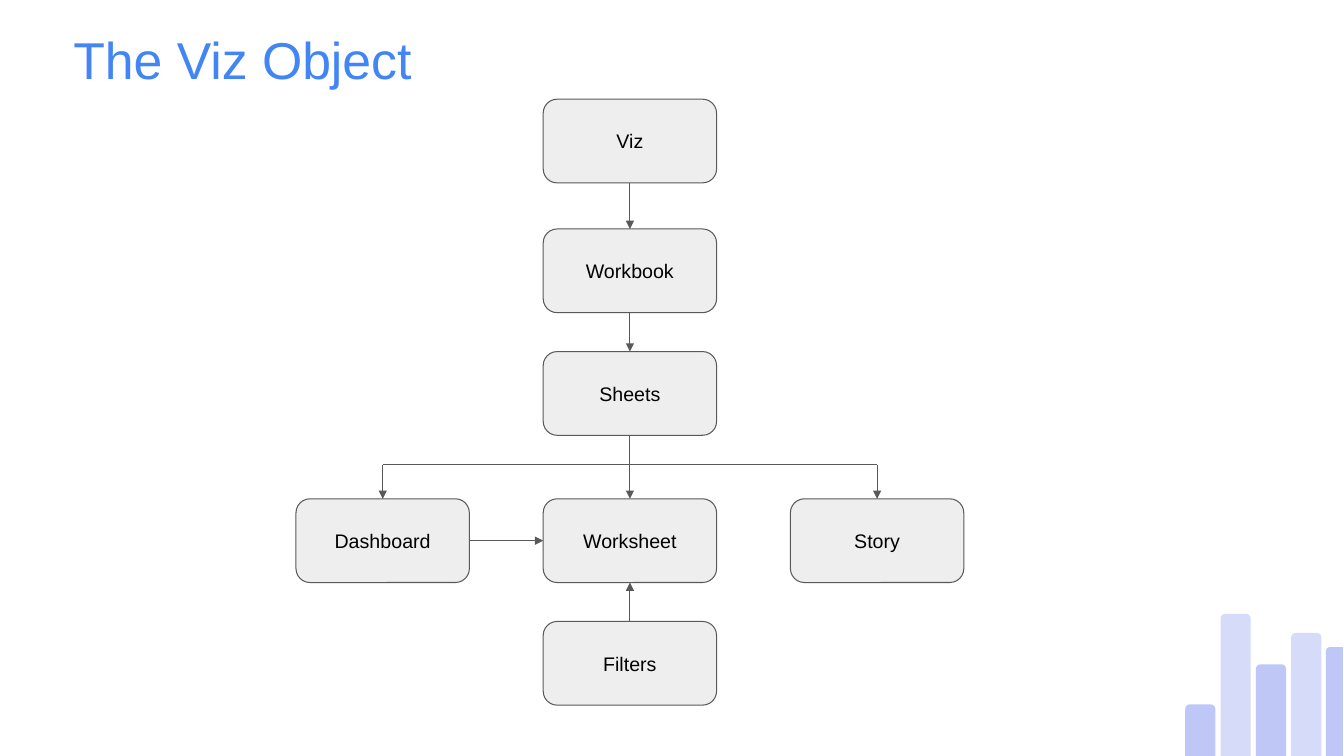
from pptx import Presentation
from pptx.dml.color import RGBColor
from pptx.enum.shapes import MSO_CONNECTOR, MSO_SHAPE
from pptx.enum.text import MSO_ANCHOR, PP_ALIGN
from pptx.oxml.ns import qn
from pptx.oxml.xmlchemy import OxmlElement
from pptx.util import Cm, Pt

BLUE = RGBColor(0x42, 0x85, 0xF4)
LILAC = RGBColor(0xBE, 0xC7, 0xF6)
LIGHT_GRAY = RGBColor(0xEE, 0xEE, 0xEE)
DARK_GRAY = RGBColor(0x59, 0x59, 0x59)
BLACK = RGBColor(0, 0, 0)

ROUND_RECT = MSO_SHAPE.ROUNDED_RECTANGLE
ROUND_TOP = MSO_SHAPE.ROUND_2_SAME_RECTANGLE
ROUND_CORNER = MSO_SHAPE.ROUND_1_RECTANGLE
STRAIGHT = MSO_CONNECTOR.STRAIGHT
MIDDLE = MSO_ANCHOR.MIDDLE
CENTER = PP_ALIGN.CENTER
TOP, LEFT, BOTTOM, RIGHT = range(4)

SLIDE_W, SLIDE_H = 33.87, 19.05
NODE_W, NODE_H = 4.37, 2.11
COLUMN_LEFT, COLUMN_STEP = 7.46, 6.23
BRANCH_Y = 11.71
BAR_LEFT, BAR_STEP, BAR_W = 29.87, 0.89, 0.76

# name: (column, top)
NODES = {
    "Viz": (1, 2.5),
    "Workbook": (1, 5.77),
    "Sheets": (1, 8.86),
    "Dashboard": (0, 12.57),
    "Worksheet": (1, 12.57),
    "Story": (2, 12.57),
    "Filters": (1, 15.66),
}
ARROWS = [
    ("Viz", BOTTOM, "Workbook", TOP),
    ("Workbook", BOTTOM, "Sheets", TOP),
    ("Sheets", BOTTOM, "Worksheet", TOP),
    ("Filters", TOP, "Worksheet", BOTTOM),
    ("Dashboard", RIGHT, "Worksheet", LEFT),
]
# top, opacity in percent
BARS = [(17.75, 100), (15.47, 63), (16.74, 100), (15.95, 63)]


class Diagram:
    def __init__(self, slide):
        self.s = slide
        self.font = "Arial"

    def style_run(self, p, size, color):
        f = p.runs[0].font
        f.name, f.size, f.color.rgb = self.font, Pt(size), color

    def title(self, text, x, y, w, h):
        tf = self.s.shapes.add_textbox(Cm(x), Cm(y), Cm(w), Cm(h)).text_frame
        tf.word_wrap = True
        tf.vertical_anchor = MIDDLE
        tf.text = text
        tf.paragraphs[0].line_spacing = 0.95
        self.style_run(tf.paragraphs[0], 37, BLUE)

    def shape(self, kind, x, y, w, h, fill, adjustment):
        sp = self.s.shapes.add_shape(kind, Cm(x), Cm(y), Cm(w), Cm(h))
        sp.shadow.inherit = False
        sp.adjustments[0] = adjustment
        sp.fill.solid()
        sp.fill.fore_color.rgb = fill
        sp.line.fill.background()
        return sp

    def bar(self, x, top, opacity):
        sp = self.shape(ROUND_TOP, x, top, BAR_W, SLIDE_H - top, LILAC, 0.15)
        if opacity < 100:
            alpha = OxmlElement("a:alpha")
            alpha.set("val", str(opacity * 1000))
            color = sp._element.spPr.find(qn("a:solidFill")).find(qn("a:srgbClr"))
            color.append(alpha)

    def edge_bar(self):
        """Bar cut off by the right edge, a turned shape with one round corner."""
        sp = self.shape(ROUND_CORNER, 32.26, 17.46, 2.74, 0.43, LILAC, 0.23)
        sp.rotation = 270

    def node(self, text, x, y):
        sp = self.shape(ROUND_RECT, x, y, NODE_W, NODE_H, LIGHT_GRAY, 0.167)
        sp.line.color.rgb = DARK_GRAY
        sp.line.width = Pt(0.75)
        tf = sp.text_frame
        tf.margin_left = tf.margin_right = Cm(0.25)
        tf.margin_top = tf.margin_bottom = Cm(0.25)
        tf.vertical_anchor = MIDDLE
        tf.text = text
        tf.paragraphs[0].alignment = CENTER
        self.style_run(tf.paragraphs[0], 14, BLACK)
        return sp

    def line(self, x1=0, y1=0, x2=0, y2=0, begin=None, end=None, arrow=True):
        """Line between points; begin and end are (node, side) and override them."""
        c = self.s.shapes.add_connector(STRAIGHT, Cm(x1), Cm(y1), Cm(x2), Cm(y2))
        if begin:
            c.begin_connect(*begin)
        if end:
            c.end_connect(*end)
        c.line.color.rgb = DARK_GRAY
        c.line.width = Pt(0.75)
        spPr = c._element.spPr
        if arrow:
            tail = OxmlElement("a:tailEnd")
            tail.set("type", "triangle")
            spPr.find(qn("a:ln")).append(tail)
        spPr.append(OxmlElement("a:effectLst"))


def main():
    prs = Presentation()
    prs.slide_width, prs.slide_height = Cm(SLIDE_W), Cm(SLIDE_H)
    d = Diagram(prs.slides.add_slide(prs.slide_layouts[6]))

    for i, (top, opacity) in enumerate(BARS):
        d.bar(BAR_LEFT + i * BAR_STEP, top, opacity)
    d.edge_bar()
    d.title("The Viz Object", 1.6, 0.18, 24.94, 2.74)

    nodes = {
        name: d.node(name, COLUMN_LEFT + column * COLUMN_STEP, top)
        for name, (column, top) in NODES.items()
    }
    for start, start_side, finish, finish_side in ARROWS:
        d.line(begin=(nodes[start], start_side), end=(nodes[finish], finish_side))

    left_x = COLUMN_LEFT + NODE_W / 2
    right_x = left_x + 2 * COLUMN_STEP
    d.line(left_x, BRANCH_Y, right_x, BRANCH_Y, arrow=False)
    for x, name in ((left_x, "Dashboard"), (right_x, "Story")):
        d.line(x, BRANCH_Y, x, BRANCH_Y, end=(nodes[name], TOP))

    prs.save("out.pptx")


if __name__ == "__main__":
    main()
